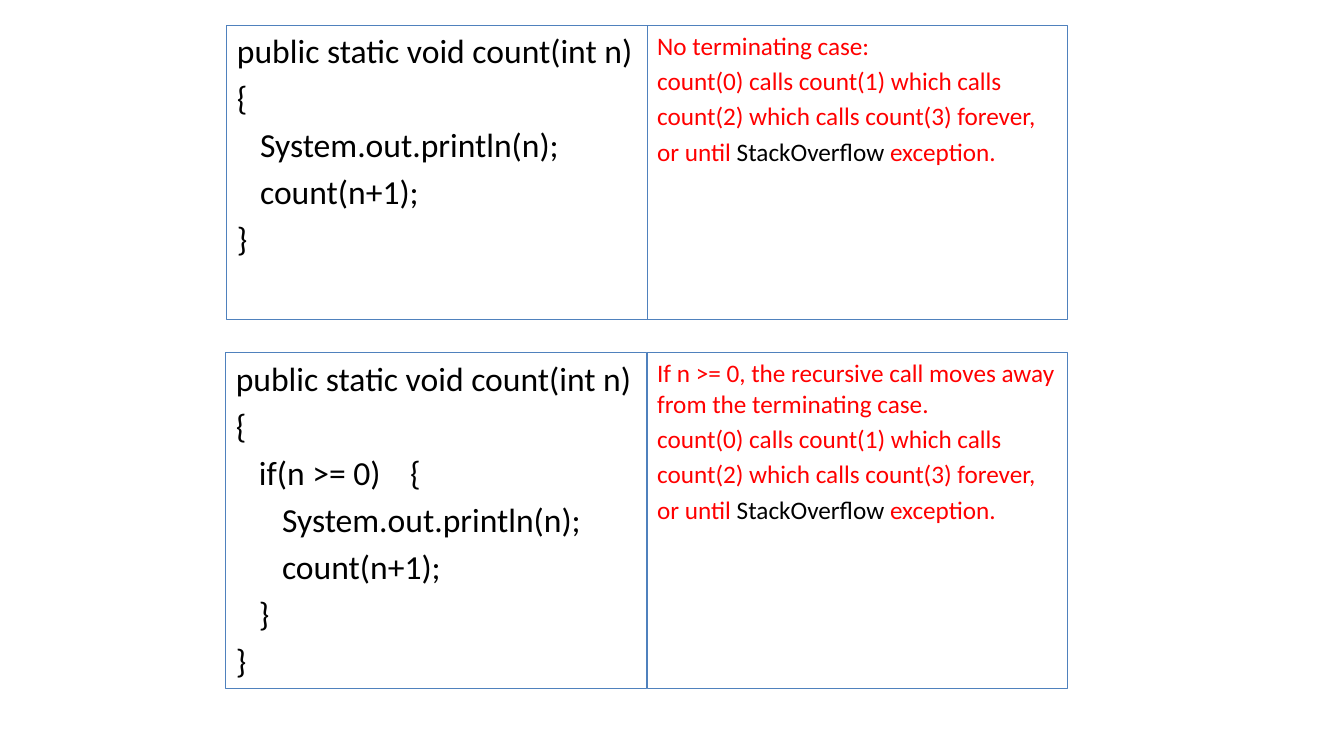
"""Build a slide of two recursion methods, each beside the reason it never ends."""
from dataclasses import dataclass

from lxml.etree import SubElement
from pptx import Presentation
from pptx.dml.color import RGBColor
from pptx.enum.shapes import MSO_SHAPE
from pptx.enum.text import MSO_ANCHOR, MSO_AUTO_SIZE, PP_ALIGN
from pptx.oxml.ns import qn
from pptx.util import Inches, Pt

FOREVER = [
    (0, ["count(0) calls count(1) which calls"]),
    (0, ["count(2) which calls count(3) forever,"]),
    (0, ["or until ", "StackOverflow", " exception."]),
]
EXAMPLES = [
    {
        "top": 0.25, "height": 2.92, "left": 2.25,
        "code": [
            (0, ["public static void count(int n)"]),
            (0, ["{"]),
            (1, ["System.out.println(n);"]),
            (1, ["count(n+1);"]),
            (0, ["}"]),
        ],
        "reason": [(0, ["No terminating case:"])] + FOREVER,
    },
    {
        "top": 3.5, "height": 3.33, "left": 2.24,
        "code": [
            (0, ["public static void count(int n)"]),
            (0, ["{"]),
            (1, ["if(n >= 0)\t{"]),
            (2, ["System.out.println(n);"]),
            (2, ["count(n+1);"]),
            (1, ["}"]),
            (0, ["}"]),
        ],
        "reason": [
            (0, ["If n >= 0, the recursive call moves away from the terminating case."]),
        ] + FOREVER,
    },
]
REASON_LEFT, BOX_WIDTH = 6.42, 4.17
INDENT, BRACE_TAB = 0.23, 1.42


@dataclass(frozen=True)
class Theme:
    """Colours, font and type sizes."""
    font: str = "Calibri"
    code: RGBColor = RGBColor(0, 0, 0)
    reason: RGBColor = RGBColor(255, 0, 0)
    border: RGBColor = RGBColor(0x4F, 0x81, 0xBD)
    code_size: int = 24
    reason_size: int = 18
    border_width: float = 0.75


THEME = Theme()


def format_paragraph(p, level, tabbed):
    """Set indent, relative space before, no bullet and an optional tab stop."""
    p.alignment = PP_ALIGN.LEFT
    pPr = p._p.get_or_add_pPr()
    pPr.set("marL", str(Inches(level * INDENT)))
    pPr.set("indent", "0")
    before = SubElement(pPr, qn("a:spcBef"))
    SubElement(before, qn("a:spcPct")).set("val", "20000")
    SubElement(pPr, qn("a:buNone"))
    if tabbed:
        tab = SubElement(SubElement(pPr, qn("a:tabLst")), qn("a:tab"))
        tab.set("pos", str(Inches(level * INDENT + BRACE_TAB)))
        tab.set("algn", "l")


def fill_box(sp, lines, size, color):
    """Style a bordered box and write its lines run by run."""
    sp.fill.background()
    sp.line.color.rgb = THEME.border
    sp.line.width = Pt(THEME.border_width)
    tf = sp.text_frame
    tf.word_wrap = True
    tf.auto_size = MSO_AUTO_SIZE.NONE
    tf.vertical_anchor = MSO_ANCHOR.TOP
    for i, (level, runs) in enumerate(lines):
        p = tf.add_paragraph() if i else tf.paragraphs[0]
        format_paragraph(p, level, "\t" in runs[0])
        for text in runs:
            r = p.add_run()
            r.text = text
            r.font.name = THEME.font
            r.font.size = Pt(size)
            r.font.color.rgb = THEME.code if text == "StackOverflow" else color


def add_box(s, left, top, height):
    """Add a plain rectangle in one of the two columns."""
    sp = s.shapes.add_shape(MSO_SHAPE.RECTANGLE, Inches(left), Inches(top),
                            Inches(BOX_WIDTH), Inches(height))
    sp.shadow.inherit = False
    return sp


def main():
    """Lay out both examples and save the deck."""
    prs = Presentation()
    prs.slide_width, prs.slide_height = Inches(13.33), Inches(7.5)
    s = prs.slides.add_slide(prs.slide_layouts[1])
    title = s.shapes.title
    title.element.getparent().remove(title.element)
    body = s.placeholders[1]
    for i, ex in enumerate(EXAMPLES):
        left, top, height = ex["left"], ex["top"], ex["height"]
        if i == 0:
            body.left, body.top = Inches(left), Inches(top)
            body.width, body.height = Inches(BOX_WIDTH), Inches(height)
        code = add_box(s, left, top, height) if i else body
        fill_box(code, ex["code"], THEME.code_size, THEME.code)
        reason = add_box(s, REASON_LEFT, top, height)
        fill_box(reason, ex["reason"], THEME.reason_size, THEME.reason)
    prs.save("out.pptx")


if __name__ == "__main__":
    main()
